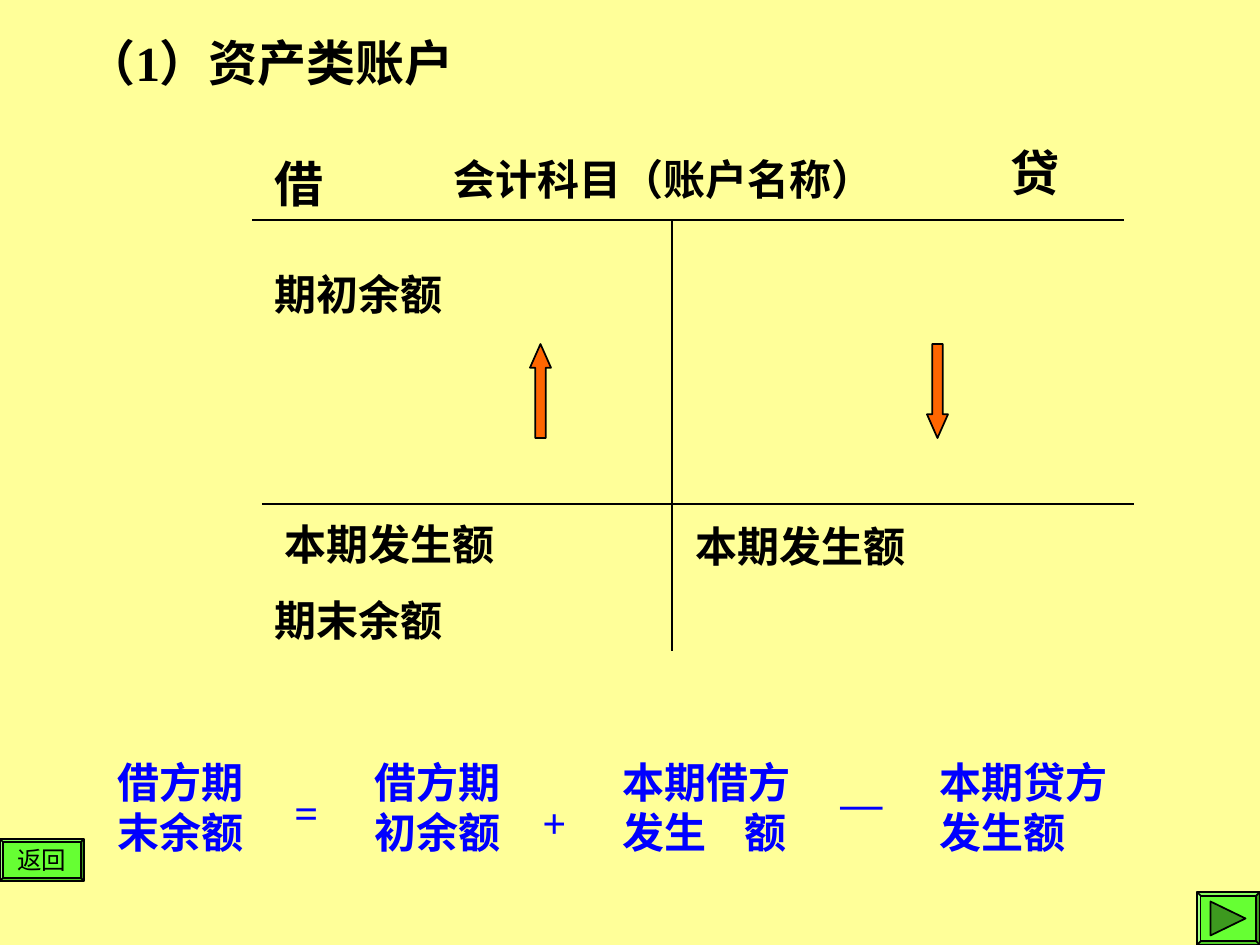
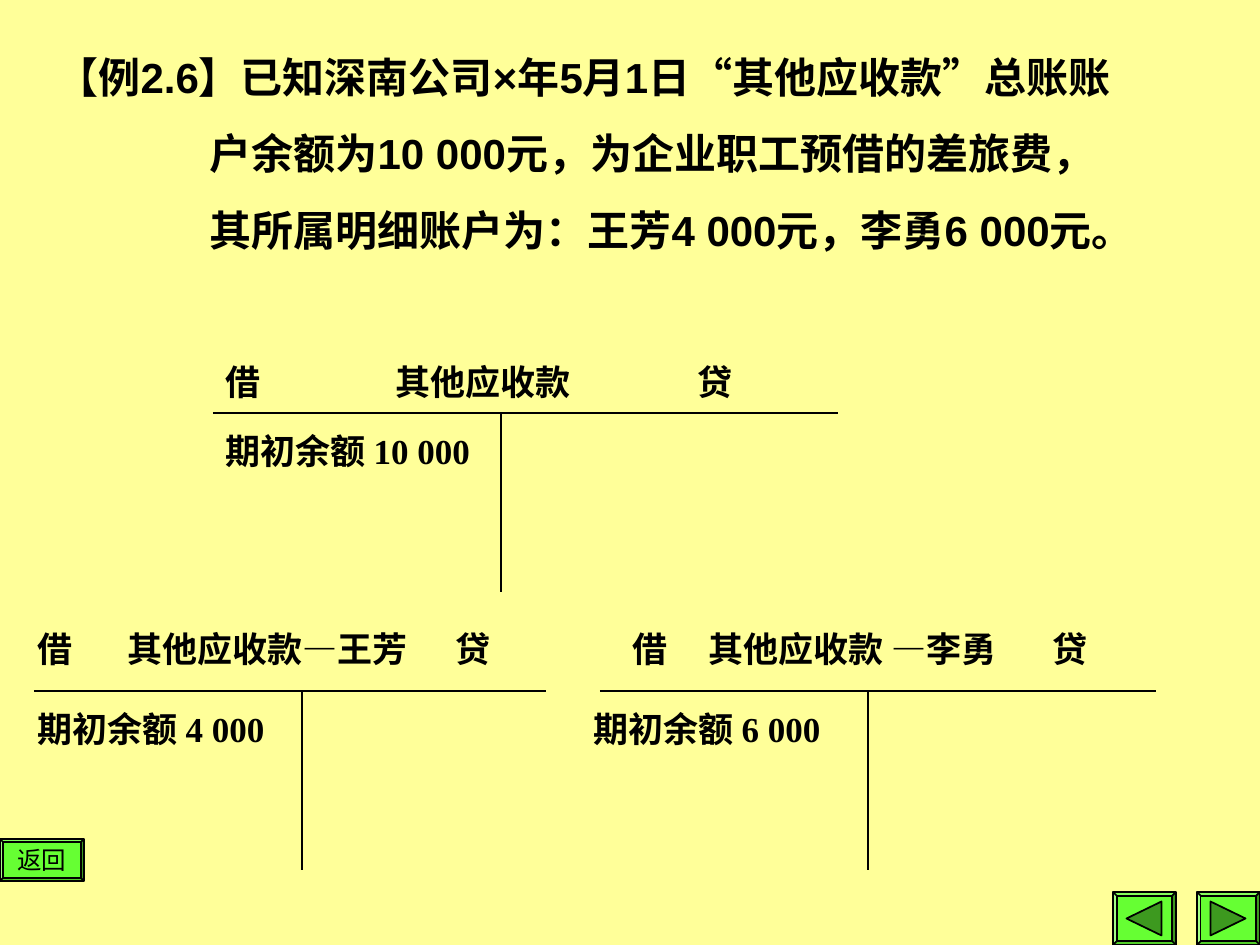
"""Build two slides on ledger accounts for assets."""
import lxml.etree
import pptx
import pptx.dml.color
import pptx.enum.shapes
import pptx.enum.text
import pptx.oxml.ns
import pptx.util

RGB = pptx.dml.color.RGBColor
CREAM = RGB(0xFF, 0xFF, 0x99)
BLACK = RGB(0, 0, 0)
BLUE = RGB(0, 0, 0xFF)
ORANGE = RGB(0xFF, 0x66, 0)
GREEN = RGB(0x66, 0xFF, 0x33)
DARK = RGB(0x3D, 0x99, 0x1F)
SERIF = "Times New Roman"
SANS = "Arial"
SHAPE = pptx.enum.shapes.MSO_SHAPE
ALIGN = pptx.enum.text.PP_ALIGN
ANCHOR = pptx.enum.text.MSO_ANCHOR
qn = pptx.oxml.ns.qn


def px(num):
    """Turn pixels into EMU at 126 to the inch."""
    return pptx.util.Emu(round(num * 914400 / 126))


def write(frame, lines, size, font=SERIF, color=BLACK, bold=True,
          align=ALIGN.LEFT, tabs=(), indent=0):
    """Fill a frame with lines; those after the first may be indented."""
    for num, line in enumerate(lines):
        para = frame.add_paragraph() if num else frame.paragraphs[0]
        para.text = line
        para.alignment = align
        props = para._p.get_or_add_pPr()
        if num:
            para.space_before = pptx.util.Pt(15)
            props.set("marL", str(px(indent)))
        if tabs:
            stops = lxml.etree.SubElement(props, qn("a:tabLst"))
            for stop in tabs:
                lxml.etree.SubElement(stops, qn("a:tab"), pos=str(px(stop)), algn="l")
        para.font.name = font
        para.font.size = pptx.util.Pt(size)
        para.font.bold = bold
        para.font.color.rgb = color


def label(slide, text, left, top, width, size=24, **style):
    """Add a wrapped text box."""
    box = slide.shapes.add_textbox(px(left), px(top), px(width), px(size * 2.6))
    box.text_frame.word_wrap = True
    write(box.text_frame, [text], size, **style)


def head(slide, lines, left, top, width, height, size, **style):
    """Place and fill the title."""
    title = slide.shapes.title
    title.left, title.top = px(left), px(top)
    title.width, title.height = px(width), px(height)
    frame = title.text_frame
    frame.auto_size = pptx.enum.text.MSO_AUTO_SIZE.NONE
    frame.vertical_anchor = ANCHOR.TOP
    write(frame, lines, size, **style)


def rule(slide, x1, y1, x2, y2, width=1):
    """Draw a thin black line."""
    kind = pptx.enum.shapes.MSO_CONNECTOR.STRAIGHT
    line = slide.shapes.add_connector(kind, px(x1), px(y1), px(x2), px(y2))
    line.line.color.rgb = BLACK
    line.line.width = pptx.util.Pt(width)
    lxml.etree.SubElement(line._element.spPr, qn("a:effectLst"))


def shape(slide, kind, left, top, width, height, fill, adjust=()):
    """Add a filled shape with a black outline."""
    item = slide.shapes.add_shape(kind, px(left), px(top), px(width), px(height))
    item.shadow.inherit = False
    item.fill.solid()
    item.fill.fore_color.rgb = fill
    item.line.color.rgb = BLACK
    item.line.width = pptx.util.Pt(1)
    for num, value in enumerate(adjust):
        item.adjustments[num] = value
    return item


def button(slide, left, top, width, height):
    """Add a green bevelled button."""
    return shape(slide, SHAPE.BEVEL, left, top, width, height, GREEN, [0.07])


def back(slide):
    """Add the return button."""
    frame = button(slide, 0, 839, 84, 42).text_frame
    frame.word_wrap = False
    frame.vertical_anchor = ANCHOR.MIDDLE
    write(frame, ["返回"], 14, bold=False, align=ALIGN.CENTER)


def step(slide, left, turn):
    """Add a button whose triangle is turned to point onward or back."""
    button(slide, left, 892, 63, 53)
    mark = shape(slide, SHAPE.ISOSCELES_TRIANGLE, left + 14, 901, 34, 35, DARK)
    mark.rotation = turn


def ledger(slide, left, right, mid, top, bottom, width=1):
    """Draw the two lines of a T account."""
    rule(slide, left, top, right, top, width)
    rule(slide, mid, top, mid, bottom)


def asset(slide):
    """Fill the slide on asset accounts."""
    head(slide, ["（1）资产类账户"], 74, 26, 735, 72, 28)
    ledger(slide, 252, 1124, 672, 220, 651)
    rule(slide, 262, 504, 1134, 504)
    for text, left, top, width, size in [
            ("借", 262, 147, 73, 28),
            ("会计科目（账户名称）", 441, 147, 451, 24),
            ("贷", 998, 136, 73, 28),
            ("期初余额", 262, 262, 284, 24),
            ("本期发生额", 272, 512, 378, 24),
            ("本期发生额", 683, 514, 294, 24),
            ("期末余额", 262, 588, 294, 24)]:
        label(slide, text, left, top, width, size)
    for kind, left in [(SHAPE.UP_ARROW, 530), (SHAPE.DOWN_ARROW, 927)]:
        shape(slide, kind, left, 344, 21, 94, ORANGE, [0.5, 1.13])
    for text, left, top, width in [
            ("借方期末余额", 105, 750, 159),
            ("=", 282, 780, 84),
            ("借方期初余额", 362, 750, 169),
            ("+", 530, 790, 116),
            ("本期借方发生\t额", 610, 750, 198),
            ("—", 828, 770, 116),
            ("本期贷方发生额", 927, 750, 218)]:
        label(slide, text, left, top, width, color=BLUE,
              tabs=[122] if "\t" in text else ())


def sample(slide):
    """Fill the slide with the worked example."""
    head(slide, ["【例2.6】已知深南公司×年5月1日“其他应收款”总账账",
                 "户余额为10 000元，为企业职工预借的差旅费，",
                 "其所属明细账户为：王芳4 000元，李勇6 000元。"],
         44, 45, 1181, 217, 24, font=SANS, indent=153)
    for name, sum_, span, top, name_at, sum_at, tabs in [
            ("借\t其他应收款\t贷", "10 000", (213, 838, 501), 413,
             (213, 354), 213, (170, 472)),
            ("借\t其他应收款—王芳\t贷", "4 000", (34, 546, 302), 691,
             (25, 621), 25, (90, 418)),
            ("借\t其他应收款 —李勇\t贷", "6 000", (600, 1156, 868), 691,
             (620, 621), 581, (76, 420))]:
        ledger(slide, *span, top, top + 179, 0.75)
        label(slide, name, *name_at, 640, 20, tabs=tabs)
        label(slide, "期初余额 " + sum_, sum_at, top + 10, 360, 20)
    step(slide, 1113, 270)


def main():
    """Build and save the deck."""
    deck = pptx.Presentation()
    deck.slide_width, deck.slide_height = px(1260), px(945)
    fill = deck.slide_master.background.fill
    fill.solid()
    fill.fore_color.rgb = CREAM
    for build in (asset, sample):
        slide = deck.slides.add_slide(deck.slide_layouts[5])
        build(slide)
        back(slide)
        step(slide, 1197, 90)
    deck.save("out.pptx")


if __name__ == "__main__":
    main()
